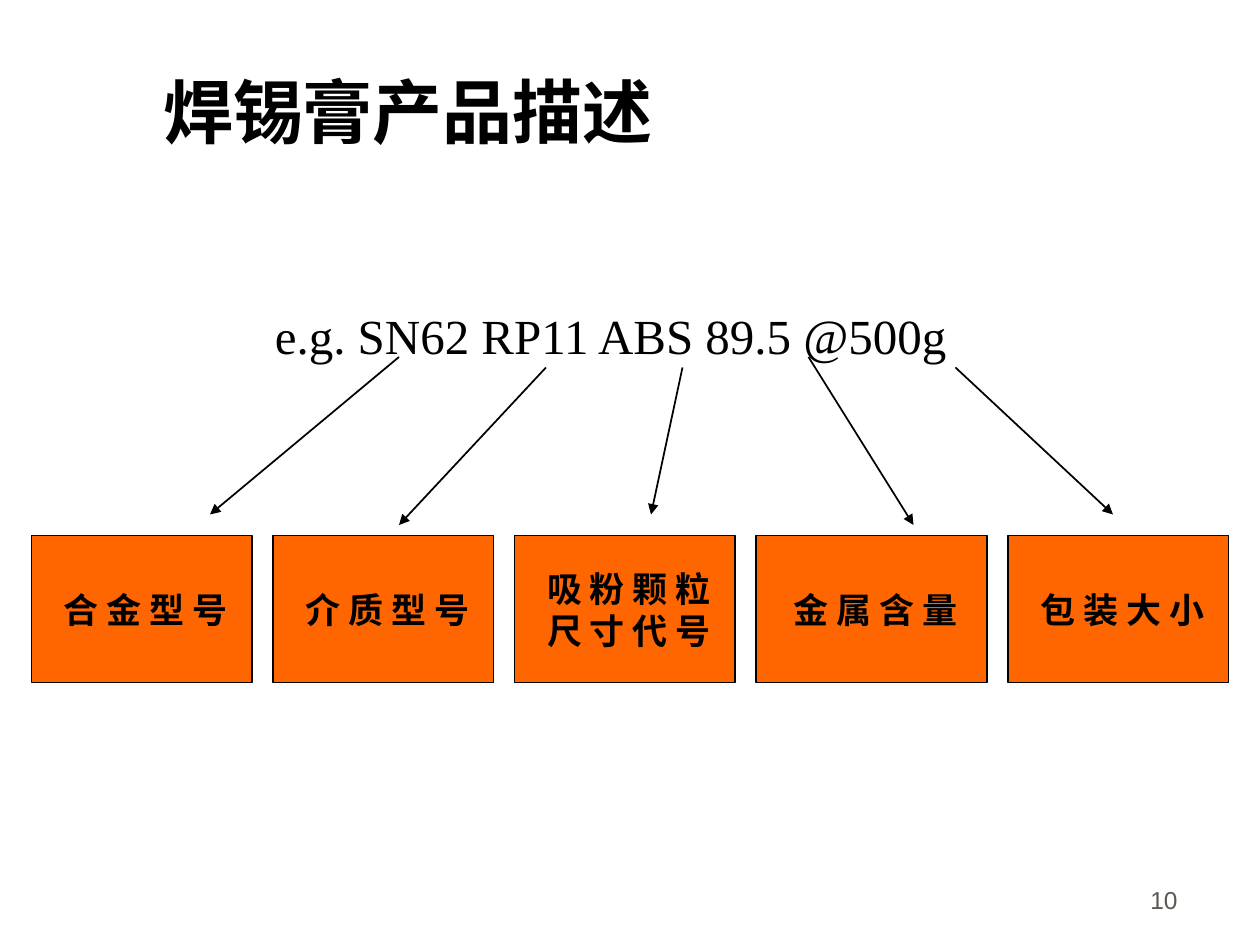
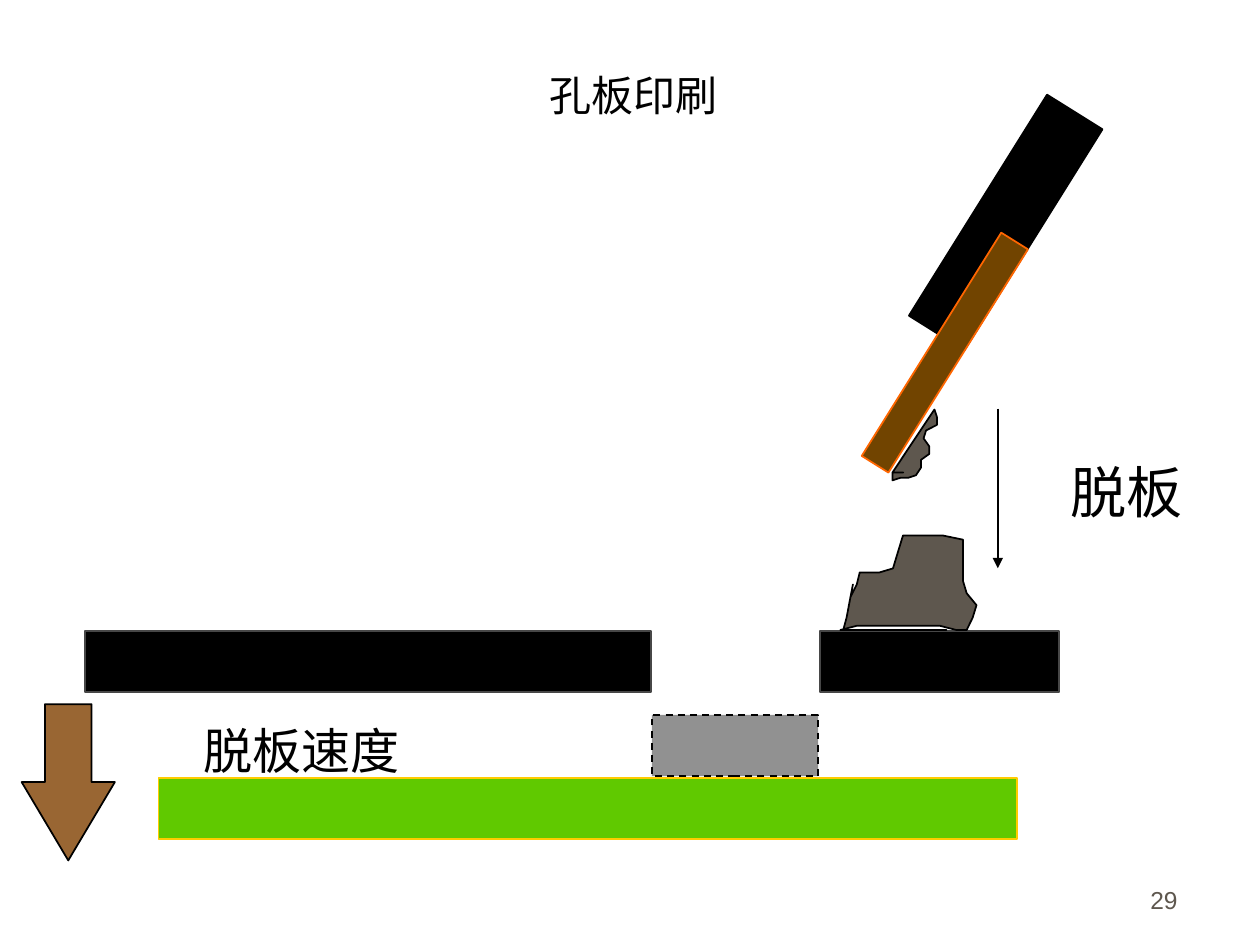
"""Build two slides on solder paste: product code parts and stencil release."""
from lxml.etree import SubElement
from pptx import Presentation
from pptx.dml.color import RGBColor
from pptx.enum.dml import MSO_LINE
from pptx.enum.shapes import MSO_CONNECTOR, MSO_SHAPE
from pptx.enum.text import MSO_ANCHOR, PP_ALIGN
from pptx.oxml.ns import qn
from pptx.util import Pt

COLORS = {
    "black": "000000", "orange": "FF6600", "gray": "5E574E", "green": "60C900",
    "yellow": "FFCC00", "deposit": "919191", "edge": "474747",
    "blade": "714400", "brown": "996633",
}
CJK = "Noto Sans CJK SC"


def write(shape, text, size, font=CJK, color="black", bold=False,
          align=PP_ALIGN.CENTER, anchor=MSO_ANCHOR.TOP, left=7.2):
    tf = shape.text_frame
    tf.text = text
    tf.word_wrap = True
    tf.vertical_anchor = anchor
    tf.margin_left = Pt(left)
    for p in tf.paragraphs:
        p.alignment = align
        for r in p.runs:
            r.font.size = Pt(size)
            r.font.name = font
            r.font.bold = bold
            r.font.color.rgb = RGBColor.from_string(COLORS[color])
            SubElement(r.font._element, qn("a:ea")).set("typeface", CJK)


def paint(shape, fill, line):
    shape.shadow.inherit = False
    shape.fill.solid()
    shape.fill.fore_color.rgb = RGBColor.from_string(COLORS[fill])
    shape.line.color.rgb = RGBColor.from_string(COLORS[line])
    shape.line.width = Pt(1)


prs = Presentation()
prs.slide_width, prs.slide_height = Pt(720), Pt(540)
product, release = [prs.slides.add_slide(prs.slide_layouts[5]) for _ in range(2)]

title = product.shapes.title
title.left, title.top, title.width, title.height = Pt(78), Pt(24), Pt(544), Pt(78)
write(title, "焊锡膏产品描述", 40, font="Roboto", bold=True,
      align=PP_ALIGN.LEFT, anchor=MSO_ANCHOR.MIDDLE, left=15.2)
title = release.shapes.title
title.left, title.top, title.width, title.height = Pt(210), Pt(36), Pt(304), Pt(51)
write(title, "孔板印刷", 24)

example = product.shapes.add_textbox(Pt(150), Pt(171), Pt(420), Pt(42))
write(example, "e.g. SN62 RP11 ABS 89.5 @500g", 28,
      font="Times New Roman", align=PP_ALIGN.LEFT)

gap = 12
x = 18
for label, width in [("合 金 型 号", 126), ("介 质 型 号", 126),
                     ("吸 粉 颗 粒\n尺 寸 代 号", 126),
                     ("金 属 含 量", 132), ("包 装 大 小", 126)]:
    box = product.shapes.add_shape(MSO_SHAPE.RECTANGLE, Pt(x), Pt(306), Pt(width), Pt(84))
    paint(box, "orange", "black")
    write(box, label, 20, font="Arial", bold=True, anchor=MSO_ANCHOR.MIDDLE, left=12)
    x += width + gap

board = (90.6, 444.5, 490.8, 35, 0, "green", "yellow")
deposit = (372.5, 408.5, 95, 35, 0, "deposit", "black")
stencil_left = (48.5, 360.6, 323.4, 35, 0, "black", "edge")
stencil_right = (468.6, 360.6, 136.8, 35, 0, "black", "edge")
holder = (556, 52.7, 37.4, 149, 32, "black", "black")
blade = (530.9, 126.3, 18, 150.5, 32, "blade", "orange")
for bar in (board, deposit, stencil_left, stencil_right, holder, blade):
    x, y, w, h, angle, fill, line = bar
    sp = release.shapes.add_shape(MSO_SHAPE.RECTANGLE, Pt(x), Pt(y), Pt(w), Pt(h))
    sp.rotation = angle
    paint(sp, fill, line)
    if bar is deposit:
        sp.line.dash_style = MSO_LINE.DASH

residue = [(534, 234), (535.4, 238.3), (535.4, 242.8), (529.2, 246),
           (527.8, 250.5), (531, 255), (531, 259.4), (526.3, 262.8),
           (526.3, 267.3), (523.4, 271.6), (519.1, 273), (514.6, 273),
           (510, 274.5), (510, 270), (516.2, 270), (510, 270)]
paste = [(480.2, 360), (489.6, 357.6), (537.1, 357.6), (546.5, 360), (552.4, 360),
         (555.8, 353), (558, 345.8), (552.4, 339), (550.3, 332),
         (550.3, 308.4), (538.8, 306), (516, 306), (512.4, 317.8),
         (510.3, 324.8), (502.6, 327.1), (491.3, 327.1), (489.6, 334),
         (486, 341.2), (487.4, 334), (486, 341.2), (483.8, 352.8),
         (481.9, 360), (540.9, 360)]
for outline in (residue, paste):
    points = [(Pt(x), Pt(y)) for x, y in outline]
    fb = release.shapes.build_freeform(*points[0])
    fb.add_line_segments(points[1:], close=True)
    paint(fb.convert_to_shape(), "gray", "black")

down = release.shapes.add_shape(MSO_SHAPE.DOWN_ARROW, Pt(12.4), Pt(402.4), Pt(53.3), Pt(89.3))
down.adjustments[0], down.adjustments[1] = 0.5, 0.84
paint(down, "brown", "black")

for text, size, x, y, w, h in [("脱板速度", 28, 78, 408, 188.6, 42),
                               ("脱板", 32, 588, 258, 111.6, 46)]:
    write(release.shapes.add_textbox(Pt(x), Pt(y), Pt(w), Pt(h)), text, size)

arrows = [
    (product, 228, 204, 120, 294),
    (product, 312, 210, 228, 300),
    (product, 390, 210, 372, 294),
    (product, 462, 204, 522, 300),
    (product, 546, 210, 636, 294),
    (release, 570.2, 233.5, 570.2, 324.7),
]
for s, x1, y1, x2, y2 in arrows:
    c = s.shapes.add_connector(MSO_CONNECTOR.STRAIGHT, Pt(x1), Pt(y1), Pt(x2), Pt(y2))
    c.line.color.rgb = RGBColor.from_string(COLORS["black"])
    c.line.width = Pt(1)
    spPr = c._element.spPr
    SubElement(spPr.find(qn("a:ln")), qn("a:tailEnd")).set("type", "triangle")
    SubElement(spPr, qn("a:effectLst"))

for s, number in [(product, "10"), (release, "29")]:
    footer = s.shapes.add_textbox(Pt(530), Pt(490.3), Pt(150), Pt(36))
    write(footer, number, 14, font="Arial", color="gray",
          align=PP_ALIGN.RIGHT, anchor=MSO_ANCHOR.BOTTOM)

prs.save("out.pptx")
